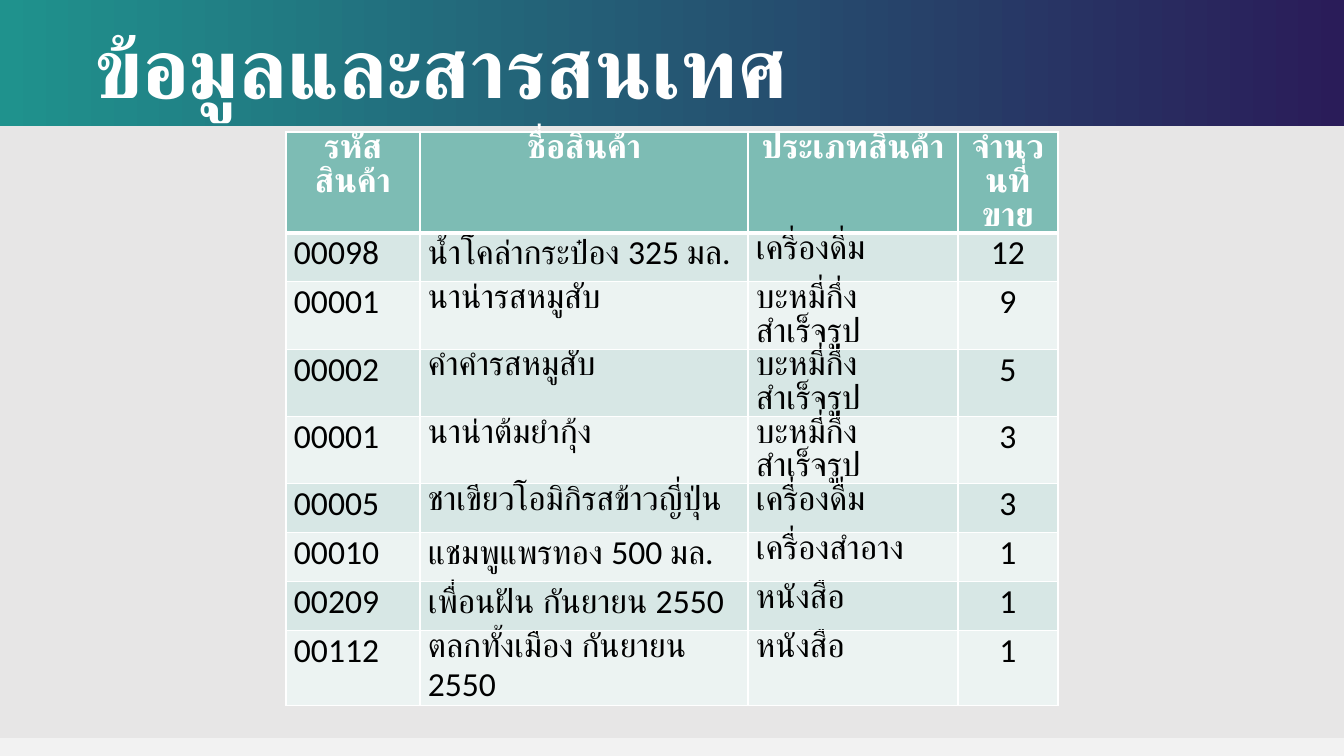
from lxml import etree
from pptx import Presentation
from pptx.dml.color import RGBColor
from pptx.enum.shapes import MSO_SHAPE
from pptx.enum.text import MSO_ANCHOR, MSO_AUTO_SIZE, PP_ALIGN
from pptx.oxml.ns import qn
from pptx.util import Pt

RECT = MSO_SHAPE.RECTANGLE
LEFT, CENTER = PP_ALIGN.LEFT, PP_ALIGN.CENTER

TITLE = "ข้อมูลและสารสนเทศ"
HEADER = ("รหัสสินค้า", "ชื่อสินค้า", "ประเภทสินค้า", "จำนวนที่ขาย")
PRODUCTS = [
    ("00098", "น้ำโคล่ากระป๋อง 325 มล.", "เครื่องดื่ม", "12"),
    ("00001", "นาน่ารสหมูสับ", "บะหมี่กึ่งสำเร็จรูป", "9"),
    ("00002", "คำคำรสหมูสับ", "บะหมี่กึ่งสำเร็จรูป", "5"),
    ("00001", "นาน่าต้มยำกุ้ง", "บะหมี่กึ่งสำเร็จรูป", "3"),
    ("00005", "ชาเขียวโอมิกิรสข้าวญี่ปุ่น", "เครื่องดื่ม", "3"),
    ("00010", "แชมพูแพรทอง 500 มล.", "เครื่องสำอาง", "1"),
    ("00209", "เพื่อนฝัน กันยายน 2550", "หนังสือ", "1"),
    ("00112", "ตลกทั้งเมือง กันยายน 2550", "หนังสือ", "1"),
]
COLORS = {
    "background": "F2F2F2", "panel": "E7E6E6", "teal": "1F928D", "purple": "2A1C59",
    "header": "7DBCB4", "odd": "D7E7E5", "even": "ECF3F2",
    "white": "FFFFFF", "black": "000000",
}
FONT = "Calibri"
SLIDE_W, SLIDE_H = 1344, 756
PANEL_H, BAND_H = 738, 126
TITLE_BOX = (84, 8, 907, 126)
TABLE_LEFT, TABLE_TOP = 286, 132
COL_WIDTHS = (134, 328, 210, 100)
HEADER_H, ROW_H, CELL_PAD = 81, 49, 8


def px(n):
    return round(n * 914400 / 100.8)


def rgb(name):
    return RGBColor.from_string(COLORS[name])


def style_font(font, size, color, bold):
    for key, value in {"name": FONT, "size": Pt(size), "bold": bold}.items():
        setattr(font, key, value)
    font.color.rgb = rgb(color)


def add_block(s, height):
    sp = s.shapes.add_shape(RECT, 0, 0, px(SLIDE_W), px(height))
    sp.shadow.inherit = False
    sp.line.fill.background()
    return sp


def set_borders(cell, top, bottom):
    """Draw white borders; top and bottom are widths in points."""
    tc_pr = cell._tc.get_or_add_tcPr()
    for side, width in (("L", 1), ("R", 1), ("T", top), ("B", bottom)):
        ln = etree.SubElement(tc_pr, qn(f"a:ln{side}"), w=str(Pt(width)))
        fill = etree.SubElement(ln, qn("a:solidFill"))
        etree.SubElement(fill, qn("a:srgbClr"), val=COLORS["white"])


def add_backdrop(s):
    s.background.fill.solid()
    s.background.fill.fore_color.rgb = rgb("background")
    panel = add_block(s, PANEL_H)
    panel.fill.solid()
    panel.fill.fore_color.rgb = rgb("panel")
    band = add_block(s, BAND_H)
    band.fill.gradient()
    band.fill.gradient_angle = 0
    for stop, color, pos in zip(band.fill.gradient_stops, ("teal", "purple"), (0, 1)):
        stop.color.rgb = rgb(color)
        stop.position = pos


def add_product_table(s):
    rows = [HEADER] + PRODUCTS
    heights = [HEADER_H] + [ROW_H] * len(PRODUCTS)
    box = (TABLE_LEFT, TABLE_TOP, sum(COL_WIDTHS), sum(heights))
    table = s.shapes.add_table(len(rows), len(HEADER), *map(px, box)).table
    for column, width in zip(table.columns, COL_WIDTHS):
        column.width = px(width)
    for i, (values, height) in enumerate(zip(rows, heights)):
        table.rows[i].height = px(height)
        is_header = i == 0
        fill = "header" if is_header else "odd" if i % 2 else "even"
        for j, text in enumerate(values):
            cell = table.cell(i, j)
            set_borders(cell, 3 if i == 1 else 1, 3 if is_header else 1)
            cell.fill.solid()
            cell.fill.fore_color.rgb = rgb(fill)
            cell.margin_left = cell.margin_right = px(CELL_PAD)
            cell.margin_top = cell.margin_bottom = 0
            p = cell.text_frame.paragraphs[0]
            p.alignment = CENTER if is_header or j == len(HEADER) - 1 else LEFT
            r = p.add_run()
            r.text = text
            style_font(r.font, 24, "white" if is_header else "black", is_header)


def set_title(s):
    title = s.shapes.title
    title.left, title.top, title.width, title.height = map(px, TITLE_BOX)
    tf = title.text_frame
    tf.word_wrap = True
    tf.auto_size = MSO_AUTO_SIZE.NONE
    tf.vertical_anchor = MSO_ANCHOR.MIDDLE
    p = tf.paragraphs[0]
    p.alignment, p.line_spacing = LEFT, 0.9
    r = p.add_run()
    r.text = TITLE
    style_font(r.font, 60, "white", True)
    s.shapes._spTree.append(title._element)  # bring in front of the band


def main():
    prs = Presentation()
    prs.slide_width, prs.slide_height = px(SLIDE_W), px(SLIDE_H)
    s = prs.slides.add_slide(prs.slide_layouts[5])
    add_backdrop(s)
    add_product_table(s)
    set_title(s)
    prs.save("out.pptx")


if __name__ == "__main__":
    main()
